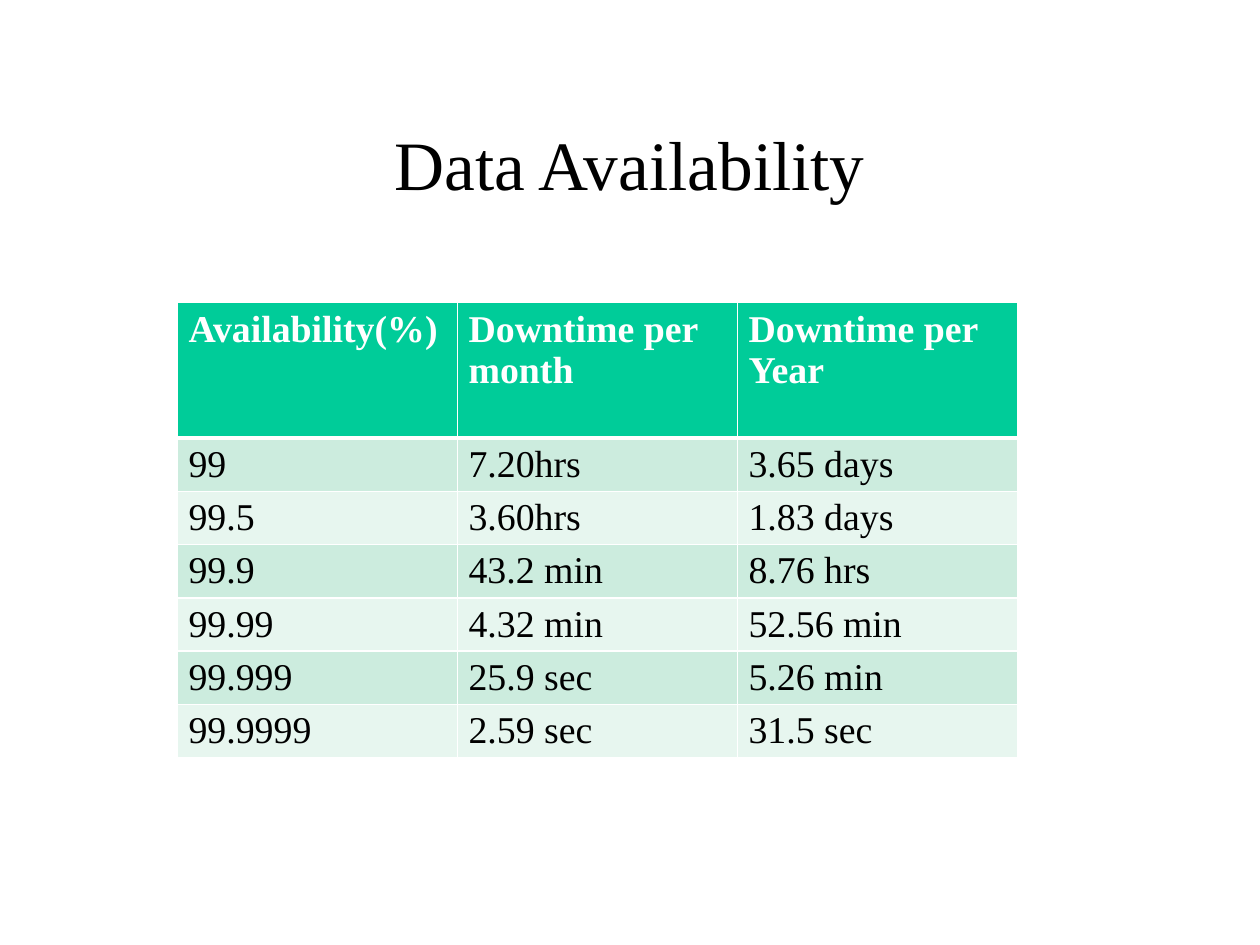
from lxml import etree
from pptx import Presentation, util as u
from pptx.dml.color import RGBColor
from pptx.enum import text
from pptx.oxml import ns

TITLE = "Data Availability"
ROWS = [
    ("Availability(%)", "Downtime per month", "Downtime per Year"),
    ("99", "7.20hrs", "3.65 days"),
    ("99.5", "3.60hrs", "1.83 days"),
    ("99.9", "43.2 min", "8.76 hrs"),
    ("99.99", "4.32 min", "52.56 min"),
    ("99.999", "25.9 sec", "5.26 min"),
    ("99.9999", "2.59 sec", "31.5 sec"),
]
COLORS = {"header": "00CC99", "odd": "CCECDE", "even": "E7F6EF",
          "white": "FFFFFF", "black": "000000"}
FONT = "Times New Roman"
LEFT, TOP, COL_W = 112.5, 192.25, 177.8
HEADER_H, ROW_H = 86, 33.8


def write(tf, words, size=24, color="black", bold=False, align=text.PP_ALIGN.LEFT):
    p = tf.paragraphs[0]
    p.alignment = align
    r = p.add_run()
    r.text = words
    r.font.name = FONT
    r.font.size = u.Pt(size)
    r.font.bold = bold
    r.font.color.rgb = RGBColor.from_string(COLORS[color])


def add_borders(cell, bottom):
    tcPr = cell._tc.get_or_add_tcPr()
    for side, width in (("L", 1), ("R", 1), ("T", 1), ("B", bottom)):
        ln = etree.SubElement(tcPr, ns.qn(f"a:ln{side}"), w=str(u.Pt(width)))
        fill = etree.SubElement(ln, ns.qn("a:solidFill"))
        etree.SubElement(fill, ns.qn("a:srgbClr"), val=COLORS["white"])


def main():
    prs = Presentation()
    prs.slide_width, prs.slide_height = u.Pt(800), u.Pt(600)
    s = prs.slides.add_slide(prs.slide_layouts[5])

    title = s.shapes.title
    title.left, title.top, title.width, title.height = map(u.Pt, (60, 53.3, 680, 100))
    title.text_frame.vertical_anchor = text.MSO_ANCHOR.MIDDLE
    write(title.text_frame, TITLE, size=44, align=text.PP_ALIGN.CENTER)

    n_rows, n_cols = len(ROWS), len(ROWS[0])
    height = HEADER_H + ROW_H * (n_rows - 1)
    table = s.shapes.add_table(n_rows, n_cols, u.Pt(LEFT), u.Pt(TOP),
                               u.Pt(COL_W * n_cols), u.Pt(height)).table
    for col in table.columns:
        col.width = u.Pt(COL_W)
    for i, row in enumerate(ROWS):
        header = i == 0
        table.rows[i].height = u.Pt(HEADER_H if header else ROW_H)
        band = "header" if header else "odd" if i % 2 else "even"
        for j, words in enumerate(row):
            cell = table.cell(i, j)
            add_borders(cell, bottom=3 if header else 1)
            cell.fill.solid()
            cell.fill.fore_color.rgb = RGBColor.from_string(COLORS[band])
            write(cell.text_frame, words, color="white" if header else "black", bold=header)

    prs.save("out.pptx")


if __name__ == "__main__":
    main()
